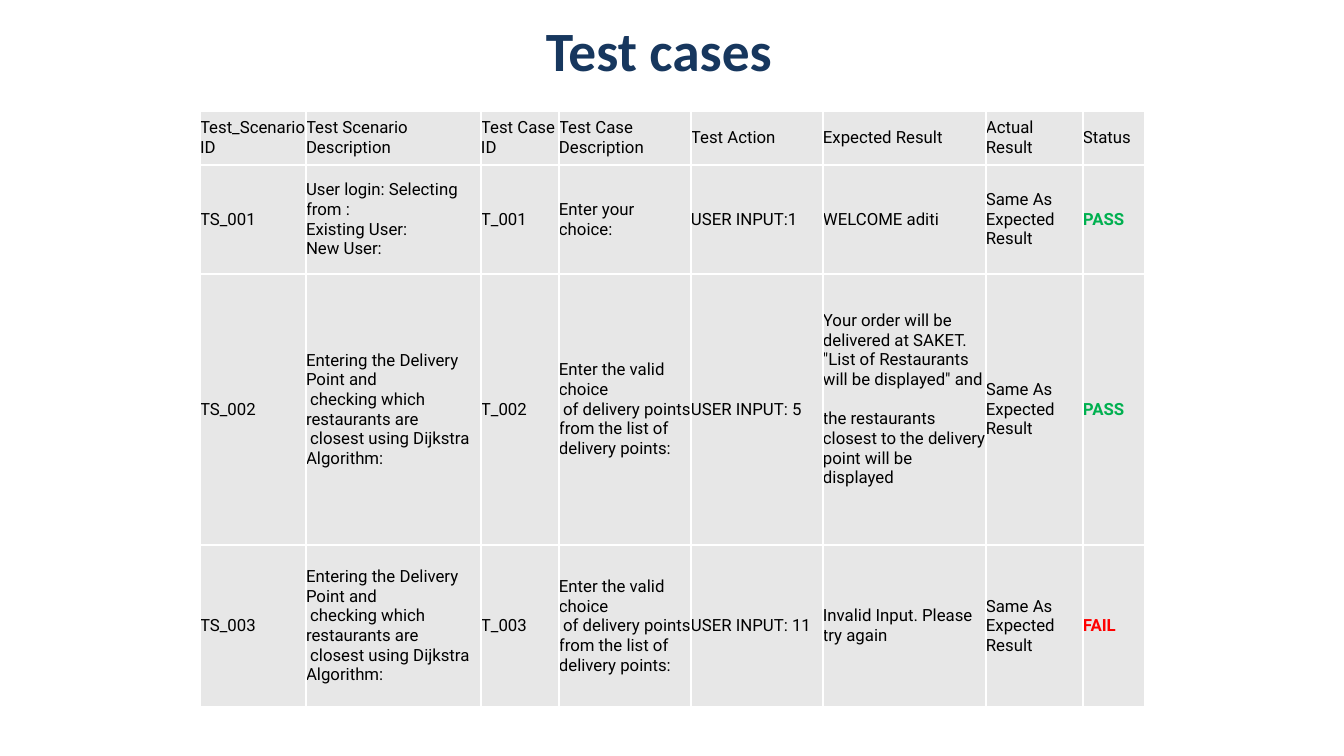
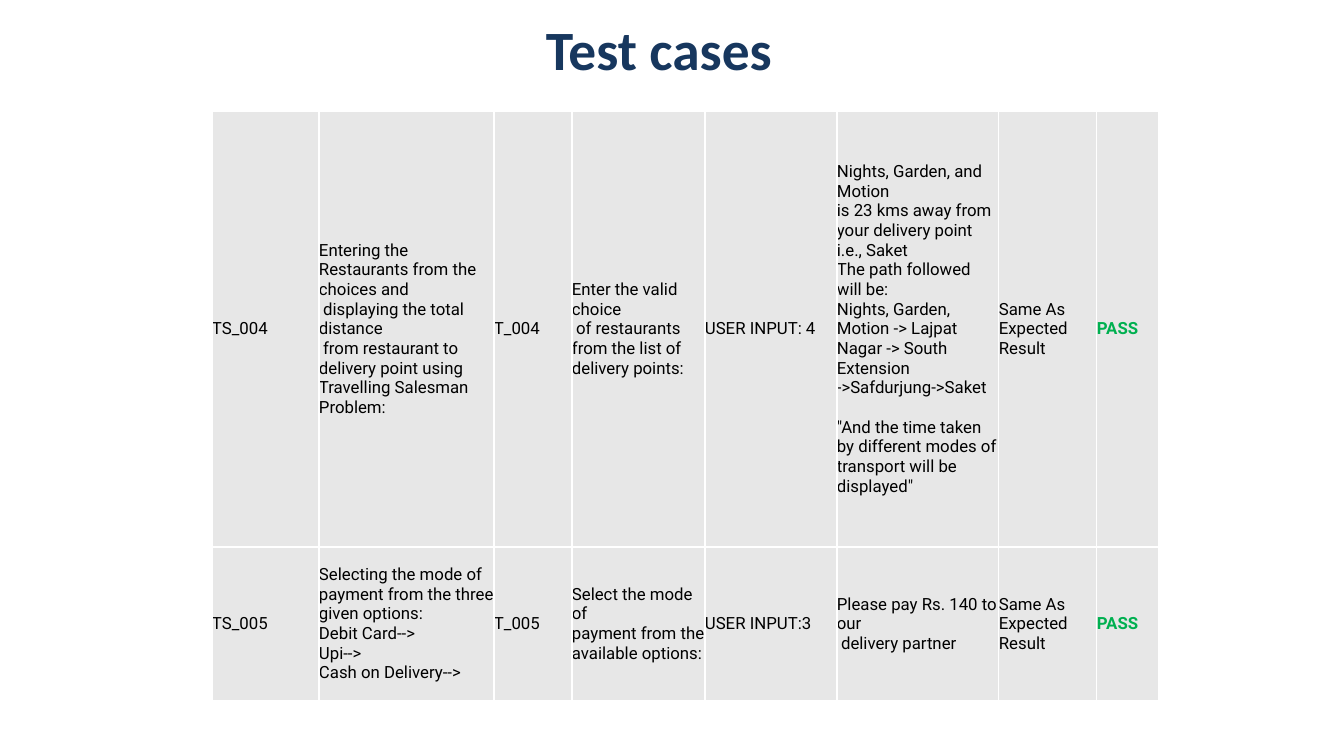
from dataclasses import dataclass

from lxml.etree import SubElement
from pptx import Presentation
from pptx.dml.color import RGBColor
from pptx.enum.text import MSO_ANCHOR, PP_ALIGN
from pptx.oxml.ns import qn
from pptx.util import Emu, Pt


# Shared look
@dataclass(frozen=True)
class Theme:
    title_font: str = "Calibri"
    title_size: float = 39.6
    title_color: str = "17375E"
    cell_font: str = "Roboto"
    cell_size: float = 12
    cell_line: float = 14
    cell_color: str = "000000"
    cell_fill: str = "E7E7E7"
    border_color: str = "FFFFFF"
    border_width: float = 1
    pass_color: str = "00B050"
    fail_color: str = "FF0000"


THEME = Theme()
STATUS_COLORS = {"PASS": THEME.pass_color, "FAIL": THEME.fail_color}
EMU_PER_PX = 914400 / 100.8
SLIDE_WIDTH, SLIDE_HEIGHT = 1344, 756
TITLE_WIDTH, TITLE_HEIGHT, TITLE_INSET = 1318, 74, 5
TABLE_TOP = 111
EXPECTED_COLUMN = 5


# Content
@dataclass(frozen=True)
class TestCase:
    number: int
    scenario: str
    description: str
    action: str
    expected: str
    status: str = "PASS"
    expected_bottom: int = 0

    def texts(self):
        return [f"TS_{self.number:03}", self.scenario, f"T_{self.number:03}",
                self.description, self.action, self.expected,
                "Same As Expected\nResult", self.status]


HEADINGS = ["Test_Scenario ID", "Test Scenario Description", "Test Case ID",
            "Test Case Description", "Test Action", "Expected Result",
            "Actual Result", "Status"]
DELIVERY_SCENARIO = ("Entering the Delivery Point and\n checking which restaurants are\n"
                     " closest using Dijkstra Algorithm:")
DELIVERY_CHOICE = ("Enter the valid choice\n"
                   " of delivery points from the list of delivery points:")

LOGIN_AND_DELIVERY = [
    TestCase(1, "User login: Selecting from :\nExisting User:\nNew User:",
             "Enter your choice:", "USER INPUT:1", "WELCOME aditi"),
    TestCase(2, DELIVERY_SCENARIO, DELIVERY_CHOICE, "USER INPUT: 5",
             "Your order will be delivered at SAKET.\n"
             "\"List of Restaurants will be displayed\" and\n\n"
             "the restaurants closest to the delivery point will be displayed",
             expected_bottom=20),
    TestCase(3, DELIVERY_SCENARIO, DELIVERY_CHOICE, "USER INPUT: 11",
             "Invalid Input. Please try again", "FAIL"),
]
ROUTE_AND_PAYMENT = [
    TestCase(4, "Entering the Restaurants from the choices and\n"
             " displaying the total distance\n"
             " from restaurant to delivery point using Travelling Salesman Problem:",
             "Enter the valid choice\n of restaurants from the list of delivery points:",
             "USER INPUT: 4",
             "Nights, Garden, and Motion\n"
             "is 23 kms away from your delivery point i.e., Saket\n"
             "The path followed will be:\n"
             "Nights, Garden, Motion -> Lajpat Nagar -> South Extension"
             " ->Safdurjung->Saket\n\n"
             "\"And the time taken by different modes of transport will be displayed\""),
    TestCase(5, "Selecting the mode of payment from the three given options:\n"
             "Debit Card-->\nUpi-->\nCash on Delivery-->",
             "Select the mode of\npayment from the available options:",
             "USER INPUT:3", "Please pay Rs. 140 to our\n delivery partner"),
]


# Helpers
def px(length):
    return Emu(round(length * EMU_PER_PX))


def add_span(para, text, font, size, color, bold=False):
    span = para.add_run()
    span.text = text
    span.font.name = font
    span.font.size = Pt(size)
    span.font.bold = bold
    span.font.color.rgb = RGBColor.from_string(color)


def set_margins(target, margin, bottom=None):
    target.margin_left = target.margin_right = target.margin_top = px(margin)
    target.margin_bottom = px(margin if bottom is None else bottom)


def add_title(page, text, top):
    box = page.shapes.add_textbox(px(0), px(top), px(TITLE_WIDTH), px(TITLE_HEIGHT))
    frame = box.text_frame
    frame.word_wrap = True
    frame.vertical_anchor = MSO_ANCHOR.MIDDLE
    set_margins(frame, TITLE_INSET)
    para = frame.paragraphs[0]
    para.alignment = PP_ALIGN.CENTER
    add_span(para, text, THEME.title_font, THEME.title_size, THEME.title_color, True)


def add_borders(cell):
    properties = cell._tc.get_or_add_tcPr()
    for side in ("lnL", "lnR", "lnT", "lnB"):
        line = SubElement(properties, qn(f"a:{side}"), w=str(Pt(THEME.border_width)))
        fill = SubElement(line, qn("a:solidFill"))
        SubElement(fill, qn("a:srgbClr"), val=THEME.border_color)


def fill_cell(cell, text, bottom=0):
    """A blank line in the text starts a new paragraph; other breaks stay inside one."""
    add_borders(cell)
    cell.fill.solid()
    cell.fill.fore_color.rgb = RGBColor.from_string(THEME.cell_fill)
    cell.vertical_anchor = MSO_ANCHOR.MIDDLE
    set_margins(cell, 0, bottom)
    color = STATUS_COLORS.get(text, THEME.cell_color)
    for block_index, block in enumerate(text.split("\n\n")):
        if block_index:
            para = cell.text_frame.add_paragraph()
            para.space_before = Pt(THEME.cell_line)
        else:
            para = cell.text_frame.paragraphs[0]
        for line_index, line in enumerate(block.split("\n")):
            if line_index:
                para.add_line_break()
            add_span(para, line, THEME.cell_font, THEME.cell_size, color,
                     text in STATUS_COLORS)


def add_case_table(page, left, widths, heights, cases, headings=None):
    rows = [(case.texts(), case.expected_bottom) for case in cases]
    if headings:
        rows.insert(0, (headings, 0))
    table = page.shapes.add_table(len(rows), len(widths), px(left), px(TABLE_TOP),
                                  px(sum(widths)), px(sum(heights))).table
    table.first_row = table.horz_banding = False
    for column, width in zip(table.columns, widths):
        column.width = px(width)
    for row, height, (texts, bottom) in zip(table.rows, heights, rows):
        row.height = px(height)
        for index, (cell, text) in enumerate(zip(row.cells, texts)):
            fill_cell(cell, text, bottom if index == EXPECTED_COLUMN else 0)


def add_case_page(deck, title_top, **table):
    page = deck.slides.add_slide(deck.slide_layouts[6])
    add_title(page, "Test cases", title_top)
    add_case_table(page, **table)


def main():
    deck = Presentation()
    deck.slide_width, deck.slide_height = px(SLIDE_WIDTH), px(SLIDE_HEIGHT)

    # Login and delivery point
    add_case_page(deck, 12, left=200, widths=[106, 175, 78, 132, 132, 163, 97, 62],
                  heights=[54, 109, 271, 162], cases=LOGIN_AND_DELIVERY,
                  headings=HEADINGS)

    # Route and payment
    add_case_page(deck, 11, left=212, widths=[107, 175, 78, 133, 132, 162, 98, 62],
                  heights=[436, 154], cases=ROUTE_AND_PAYMENT)

    deck.save("out.pptx")


if __name__ == "__main__":
    main()
